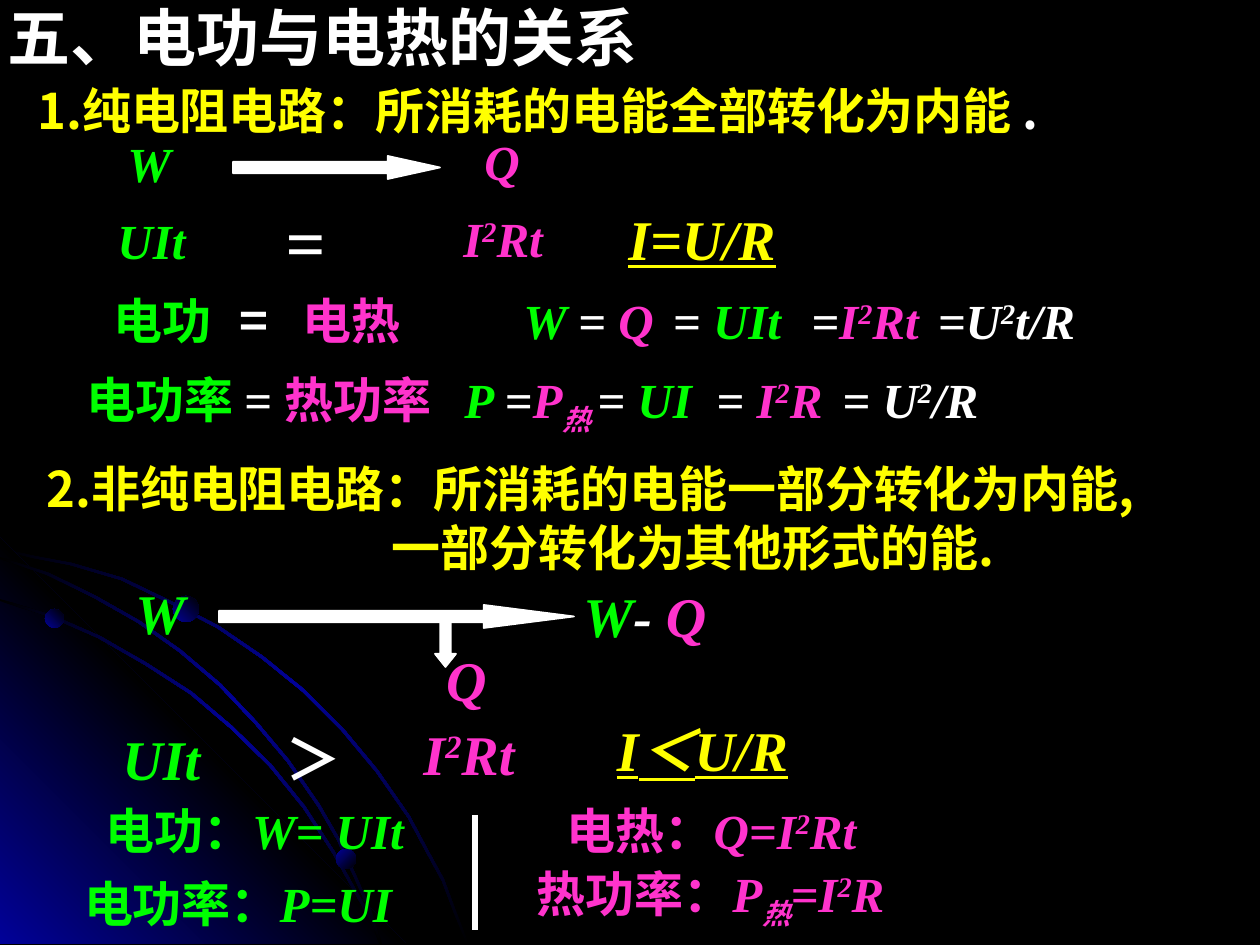
"""Build a physics slide relating electrical work to electrical heat."""
from dataclasses import dataclass

from lxml.etree import SubElement
from pptx import Presentation
from pptx.dml.color import RGBColor
from pptx.enum.shapes import MSO_CONNECTOR, MSO_SHAPE
from pptx.enum.text import MSO_AUTO_SIZE, PP_ALIGN
from pptx.oxml.ns import qn
from pptx.util import Emu, Inches, Pt

SCALE = Inches(1) / 126
WIDTH, HEIGHT = 1260, 945


@dataclass(frozen=True)
class Theme:
    """Colours, faces and type sizes of the slide."""
    black: str = "000000"
    blue: str = "010199"
    white: str = "FFFFFF"
    green: str = "00FF00"
    pink: str = "FF33CC"
    yellow: str = "FFFF00"
    cjk: str = "Noto Sans CJK SC"
    serif: str = "Times New Roman"
    title: int = 36
    body: int = 28
    formula: int = 32
    sign: int = 40


T = Theme()
W, G, M, Y = T.white, T.green, T.pink, T.yellow
HEAT = [(M, "I|^2|Rt")]

ARCS = [
    [(0, 548), (35, 556), (72, 563), (123, 578), (171, 601), (219, 626), (263, 656), (305, 690),
     (343, 728), (378, 770), (410, 816), (427, 848), (444, 879), (456, 911), (469, 944)],
    [(0, 599), (52, 615), (100, 636), (147, 663), (192, 692), (232, 726), (271, 764), (305, 806),
     (335, 852), (360, 897), (373, 920), (382, 944)],
    [(0, 557), (49, 573), (96, 596), (140, 621), (181, 650), (221, 684), (257, 722), (289, 760),
     (320, 805), (339, 838), (355, 873), (370, 907), (382, 944)],
]


def px(n):
    """Turn pixels into EMU."""
    return Emu(round(n * SCALE))


def rgb(colour):
    """Turn a hex string into a colour."""
    return RGBColor.from_string(colour)


def add_gradient(sp, colours, angle):
    """Fill a shape with evenly spaced colours and no outline."""
    sp.shadow.inherit = False
    sp.line.fill.background()
    sp.fill.gradient()
    sp.fill.gradient_angle = angle
    stops = sp._element.spPr.find(qn("a:gradFill")).find(qn("a:gsLst"))
    for old in list(stops):
        stops.remove(old)
    for i, colour in enumerate(colours):
        gs = SubElement(stops, qn("a:gs"), pos=str(100000 * i // (len(colours) - 1)))
        SubElement(gs, qn("a:srgbClr"), val=colour)


def add_outline(s, points, colours, angle):
    """Draw a closed gradient outline."""
    fb = s.shapes.build_freeform(*points[0], scale=SCALE)
    fb.add_line_segments(points[1:], close=True)
    add_gradient(fb.convert_to_shape(), colours, angle)


def add_arc(s, points):
    """Draw a thin curved band along its upper edge."""
    lower = [(max(0, x - 2), min(HEIGHT, y + 2)) for x, y in reversed(points)]
    add_outline(s, points + lower, [T.black, T.blue, T.black], 315)


def add_ball(s, x, y, size, angle):
    """Draw a glowing ball."""
    sp = s.shapes.add_shape(MSO_SHAPE.OVAL, px(x), px(y), px(size), px(size))
    add_gradient(sp, [T.blue, T.black], angle)


def add_arrow(s, kind, box, head):
    """Draw a white block arrow with a given head length."""
    sp = s.shapes.add_shape(kind, *map(px, box))
    sp.shadow.inherit = False
    sp.adjustments[0], sp.adjustments[1] = 0.5, head
    sp.fill.solid()
    sp.fill.fore_color.rgb = sp.line.color.rgb = rgb(W)
    sp.line.width = Pt(1)


def add_run(p, text, colour, style, size, underline):
    """Add one run; a leading ^ or _ raises or lowers it."""
    r = p.add_run()
    r.text = text.lstrip("^_")
    r.font.size, r.font.bold = Pt(size), True
    r.font.italic = style == "math"
    r.font.underline = underline
    r.font.color.rgb = rgb(colour)
    r.font.name = T.cjk if style == "cjk" else T.serif
    rPr = r._r.get_or_add_rPr()
    SubElement(rPr, qn("a:ea"), typeface=T.cjk)
    shift = {"^": "30000", "_": "-25000"}.get(text[0])
    if shift:
        rPr.set("baseline", shift)


def add_text(s, box, *paras, size=T.body, style="math", centre=False, wrap=True,
             before=0, indents=(0, 0), tabs=(), underline=None):
    """Add a text box whose paragraphs are lists of (colour, text[, style])."""
    tf = s.shapes.add_textbox(*map(px, box)).text_frame
    tf.word_wrap = wrap
    tf.auto_size = MSO_AUTO_SIZE.SHAPE_TO_FIT_TEXT
    for i, (runs, indent) in enumerate(zip(paras, indents)):
        p = tf.paragraphs[0] if i == 0 else tf.add_paragraph()
        p.alignment = PP_ALIGN.CENTER if centre else PP_ALIGN.LEFT
        p.space_before = Pt(before)
        pPr = p._p.get_or_add_pPr()
        pPr.set("marL", str(px(indent)))
        pPr.set("indent", "0")
        if tabs:
            tab_list = SubElement(pPr, qn("a:tabLst"))
            for stop in tabs:
                SubElement(tab_list, qn("a:tab"), pos=str(px(stop)), algn="l")
        for colour, text, *own in runs:
            for piece in text.split("|"):
                add_run(p, piece, colour, own[0] if own else style, size, underline)


def add_divider(s, x, top, bottom):
    """Draw a white vertical rule."""
    ln = s.shapes.add_connector(MSO_CONNECTOR.STRAIGHT, px(x), px(top), px(x), px(bottom))
    ln.line.color.rgb, ln.line.width = rgb(W), Pt(3)
    SubElement(ln._element.spPr, qn("a:effectLst"))


def add_backdrop(s):
    """Draw the corner glow, arcs and balls on black."""
    s.background.fill.solid()
    s.background.fill.fore_color.rgb = rgb(T.black)
    add_arc(s, ARCS[0])
    add_outline(s, [(0, 538), (406, 944), (0, 944)], [T.blue, T.black, T.blue], 45)
    for points in ARCS[1:]:
        add_arc(s, points)
    for ball in [(45, 609, 19, 45), (336, 849, 20, 315), (173, 596, 26, 45)]:
        add_ball(s, *ball)


def add_resistive(s):
    """Add the pure resistance section."""
    add_text(s, (25, 74, 1211, 72), [(Y, "1.纯电阻电路：所消耗的电能全部转化为内能 "), (W, ".")],
             style="cjk")
    add_text(s, (451, 125, 126, 149), [(M, "Q")], HEAT, before=10.5, indents=(21, 0))
    add_text(s, (105, 127, 117, 149), [(G, "W")], [(G, "UIt")], before=10.5, indents=(10, 0))
    add_arrow(s, MSO_SHAPE.RIGHT_ARROW, (233, 156, 207, 23), 2.27)
    add_text(s, (273, 192, 64, 97), [(W, "=")], size=T.sign, wrap=False)
    add_text(s, (616, 198, 173, 81), [(Y, "I=U/R")], size=T.formula, wrap=False,
             before=20, underline=True)
    add_text(s, (101, 284, 333, 72), [(G, "电功\t"), (W, "=\t"), (M, "电热")],
             style="cjk", tabs=(130, 195))
    for x, width, runs in [(489, 199, [(G, "W "), (W, "= "), (M, "Q")]),
                           (660, 134, [(W, "= "), (G, "UIt")]),
                           (786, 158, [(W, "="), *HEAT]),
                           (925, 163, [(W, "=U|^2|t/R")])]:
        add_text(s, (x, 284, width, 72), runs, centre=True)
    add_text(s, (74, 363, 1050, 79),
             [(G, "电功率 ", "roman"), (W, "= ", "roman"), (M, "热功率\t", "roman"),
              (G, "P "), (W, "="), (M, "P|_热 "), (W, "= "), (G, "UI\t"), (W, "= "),
              (M, "I|^2|R\t"), (W, "= U|^2|/R")],
             before=17.5, tabs=(458, 753, 883))


def add_mixed(s):
    """Add the section on circuits that are not purely resistive."""
    add_text(s, (34, 452, 1216, 131), [(Y, "2.非纯电阻电路：所消耗的电能一部分转化为内能,")],
             [(Y, "一部分转化为其他形式的能.")], style="cjk", indents=(0, 345))
    add_arrow(s, MSO_SHAPE.RIGHT_ARROW, (219, 605, 355, 23), 3.92)
    add_arrow(s, MSO_SHAPE.DOWN_ARROW, (435, 614, 21, 53), 0.62)
    big = {"size": T.formula}
    add_text(s, (123, 572, 74, 81), [(G, "W")], wrap=False, **big)
    add_text(s, (571, 575, 218, 81), [(G, "W"), (W, "- "), (M, "Q")], before=20, **big)
    add_text(s, (430, 639, 73, 81), [(M, "Q")], centre=True, before=20, **big)
    add_text(s, (110, 718, 103, 81), [(G, "UIt")], centre=True, wrap=False, **big)
    add_text(s, (401, 713, 136, 81), HEAT, centre=True, **big)
    add_text(s, (583, 709, 239, 81), [(Y, "I＜U/R")], centre=True, underline=True, **big)
    add_text(s, (273, 718, 81, 81), [(W, "＞")], style="roman", wrap=False, before=20, **big)
    for box, colour, label, formula in [
            ((76, 794, 357, 72), G, "电功：", "W= UIt"),
            ((475, 794, 473, 72), M, "电热：", "Q=I|^2|Rt"),
            ((44, 867, 388, 72), G, "电功率：", "P=UI"),
            ((485, 857, 451, 82), M, "热功率：", "P|_热|=I|^2|R")]:
        add_text(s, box, [(colour, label, "cjk"), (colour, formula)], centre=True)
    add_divider(s, 475, 815, 930)


def main():
    """Build and save the slide."""
    prs = Presentation()
    prs.slide_width, prs.slide_height = px(WIDTH), px(HEIGHT)
    s = prs.slides.add_slide(prs.slide_layouts[6])
    add_backdrop(s)
    add_text(s, (-5, -8, 714, 88), [(W, "五、电功与电热的关系")], size=T.title, style="cjk")
    add_resistive(s)
    add_mixed(s)
    prs.save("out.pptx")


if __name__ == "__main__":
    main()
